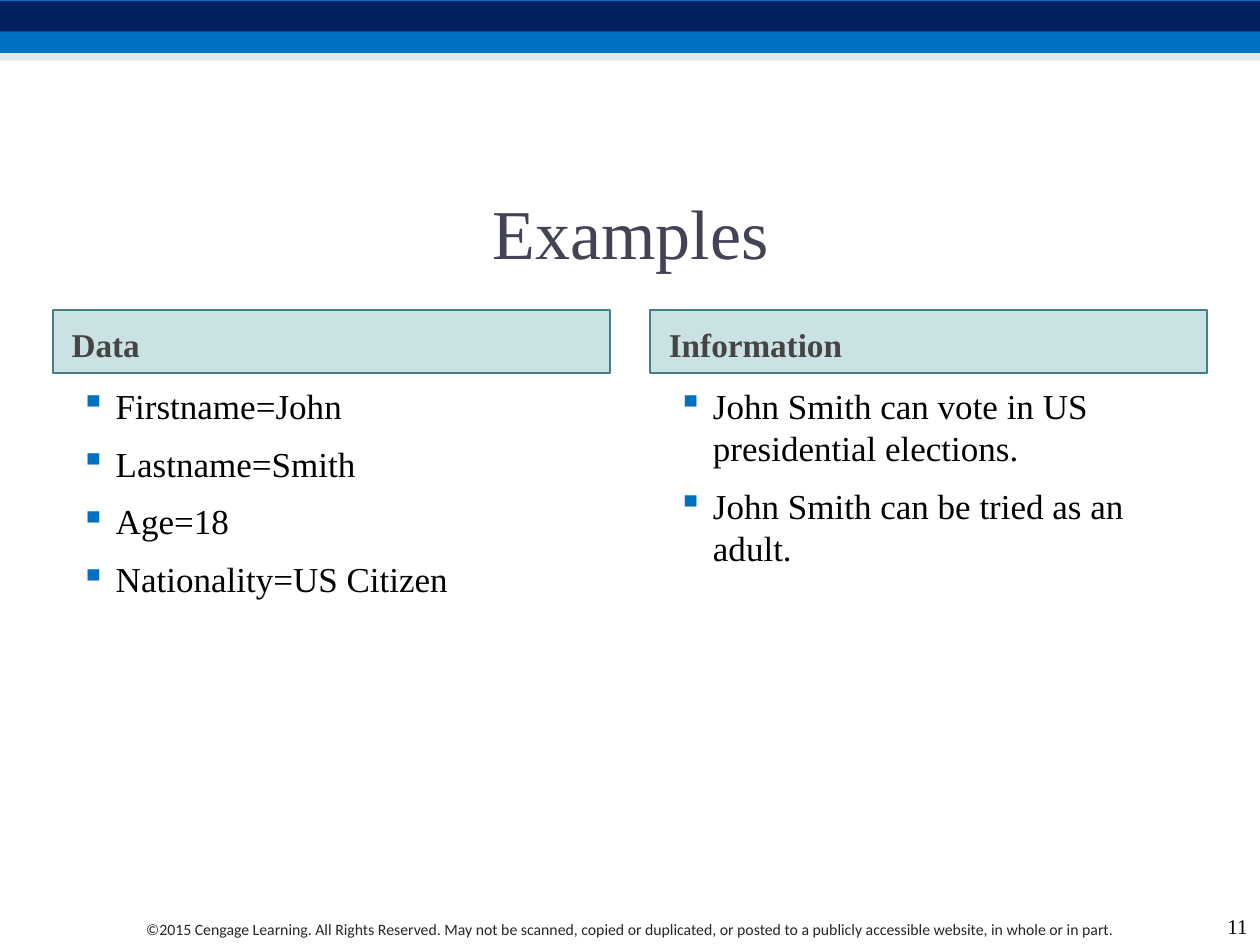
from dataclasses import dataclass

from lxml import etree
from pptx import Presentation
from pptx.dml.color import RGBColor
from pptx.enum.shapes import MSO_SHAPE
from pptx.enum.text import MSO_ANCHOR, PP_ALIGN
from pptx.oxml.ns import qn
from pptx.util import Inches, Pt

RECTANGLE = MSO_SHAPE.RECTANGLE
LEFT, CENTER, RIGHT = PP_ALIGN.LEFT, PP_ALIGN.CENTER, PP_ALIGN.RIGHT
TOP, MIDDLE, BOTTOM = MSO_ANCHOR.TOP, MSO_ANCHOR.MIDDLE, MSO_ANCHOR.BOTTOM


@dataclass(frozen=True)
class Theme:
    serif: str = "Times New Roman"
    sans: str = "Calibri"
    blue: str = "0070C0"
    navy: str = "002060"
    pale: str = "BED3E1"
    teal: str = "328E97"
    teal_line: str = "438086"
    title: str = "424456"
    heading: str = "454545"
    notice: str = "262626"
    black: str = "000000"
    title_size: int = 40
    heading_size: int = 19
    body_size: int = 20
    number_size: int = 12
    notice_size: int = 9


@dataclass(frozen=True)
class Area:
    left: float
    top: float
    width: float
    height: float

    def lengths(self):
        return [Inches(v) for v in (self.left, self.top, self.width, self.height)]


@dataclass(frozen=True)
class Band:
    area: Area
    color: str
    opacity: int = 100


@dataclass(frozen=True)
class Column:
    left: float
    heading: str
    items: tuple[str, ...]


THEME = Theme()
COLUMN_WIDTH = 4.42
BANDS = (
    Band(Area(0, 0, 10, 0.42), THEME.blue),
    Band(Area(0, 0.01, 10, 0.24), THEME.navy),
    Band(Area(0, 0.42, 10, 0.06), THEME.pale, 50),
)
COLUMNS = (
    Column(0.42, "Data", ("Firstname=John", "Lastname=Smith", "Age=18",
                          "Nationality=US Citizen")),
    Column(5.16, "Information", ("John Smith can vote in US presidential elections.",
                                 "John Smith can be tried as an adult.")),
)
NOTICE = ("©2015 Cengage Learning. All Rights Reserved. May not be scanned, copied or "
          "duplicated, or posted to a publicly accessible website, in whole or in part.")


def add_band(page, band: Band):
    shape = page.shapes.add_shape(RECTANGLE, *band.area.lengths())
    shape.shadow.inherit = False
    shape.fill.solid()
    shape.fill.fore_color.rgb = RGBColor.from_string(band.color)
    shape.line.fill.background()
    if band.opacity < 100:
        color = shape.fill._xPr.find(qn("a:solidFill"))[0]
        etree.SubElement(color, qn("a:alpha"), val=str(band.opacity * 1000))
    return shape


def write_text(box, *lines: str, size: int, color: str, font: str = THEME.serif,
               bold: bool = False, align=LEFT, anchor=TOP, inset_top: float = 0.05,
               margin: float = 0, indent: float = 0, before: int = 0, after: int = 0,
               bullet: str = "") -> None:
    frame = box.text_frame
    frame.word_wrap = True
    frame.vertical_anchor = anchor
    frame.margin_top = Inches(inset_top)
    for index, line in enumerate(lines):
        para = frame.paragraphs[0] if index == 0 else frame.add_paragraph()
        para.alignment = align
        para.space_before = Pt(before if index else 0)
        para.space_after = Pt(after)
        properties = para._p.get_or_add_pPr()
        properties.set("marL", str(Inches(margin)))
        properties.set("indent", str(Inches(indent)))
        if bullet:
            bullet_color = etree.SubElement(properties, qn("a:buClr"))
            etree.SubElement(bullet_color, qn("a:srgbClr"), val=THEME.blue)
            etree.SubElement(properties, qn("a:buChar"), char=bullet)
        span = para.add_run()
        span.text = line
        span.font.name = font
        span.font.size = Pt(size)
        span.font.bold = bold
        span.font.color.rgb = RGBColor.from_string(color)


def add_text(page, area: Area, *lines: str, **text_format) -> None:
    write_text(page.shapes.add_textbox(*area.lengths()), *lines, **text_format)


def add_column(page, column: Column) -> None:
    heading = add_band(page, Band(Area(column.left, 2.46, COLUMN_WIDTH, 0.5), THEME.teal, 25))
    heading.line.color.rgb = RGBColor.from_string(THEME.teal_line)
    heading.line.width = Pt(1)
    write_text(heading, column.heading, size=THEME.heading_size, color=THEME.heading,
               bold=True, anchor=MIDDLE, inset_top=0.09, margin=0.05)
    add_text(page, Area(column.left, 2.96, COLUMN_WIDTH, 4.25), *column.items,
             size=THEME.body_size, color=THEME.black, inset_top=0.09,
             margin=0.4, indent=-0.28, before=3, after=6, bullet="▪")


def main() -> None:
    deck = Presentation()
    deck.slide_width, deck.slide_height = Inches(10), Inches(7.5)
    page = deck.slides.add_slide(deck.slide_layouts[6])
    for band in BANDS:
        add_band(page, band)
    add_text(page, Area(0.58, 7.25, 8.83, 0.25), NOTICE, size=THEME.notice_size,
             color=THEME.notice, font=THEME.sans, align=CENTER)
    add_text(page, Area(0.42, 1.25, 9.17, 1.17), "Examples", size=THEME.title_size,
             color=THEME.title, align=CENTER, anchor=MIDDLE)
    for column in COLUMNS:
        add_column(page, column)
    add_text(page, Area(9.5, 7.17, 0.5, 0.33), "11", size=THEME.number_size,
             color=THEME.black, align=RIGHT, anchor=BOTTOM)
    deck.save("out.pptx")


if __name__ == "__main__":
    main()
